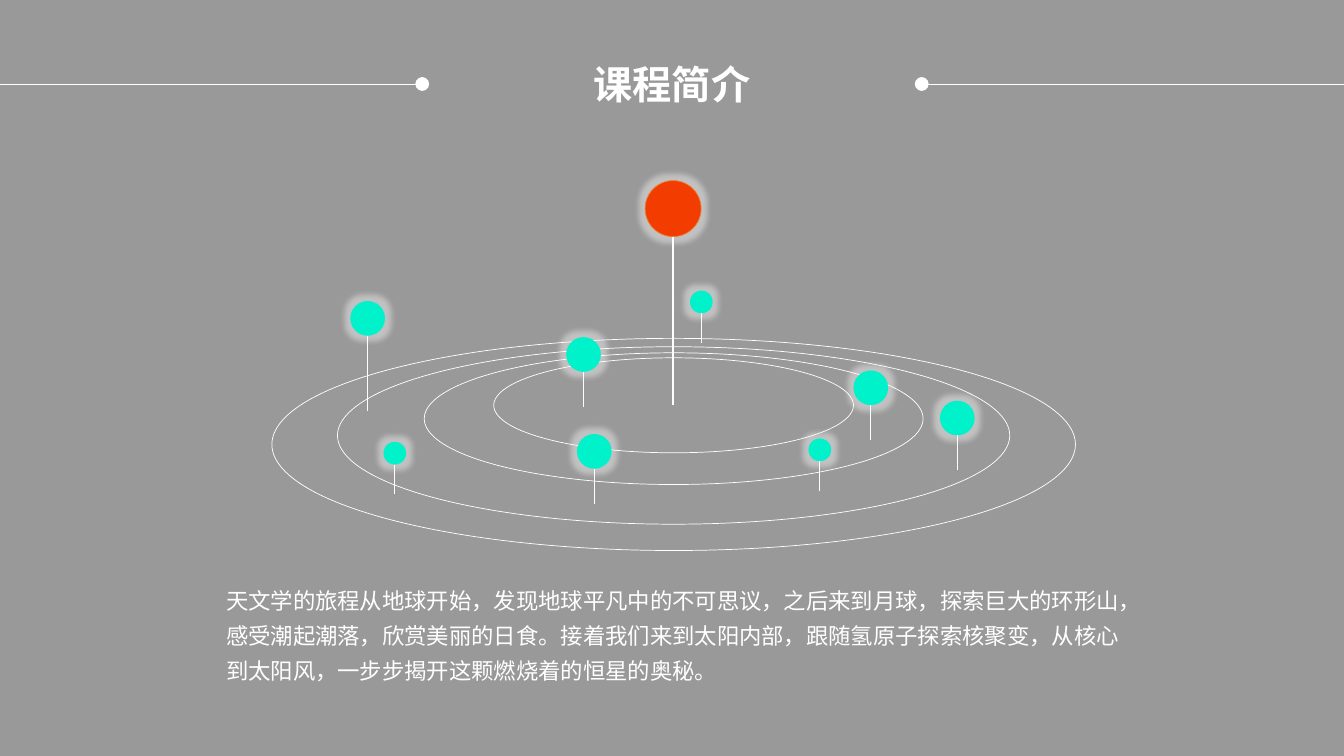
from dataclasses import dataclass

import pptx
import pptx.dml.color
import pptx.enum.shapes
import pptx.enum.text
import pptx.oxml
import pptx.oxml.ns
import pptx.util
from lxml import etree

Pt = pptx.util.Pt
PAGE_WIDTH, PAGE_HEIGHT = 960, 540


@dataclass(frozen=True)
class Theme:
    background: str = "999999"
    white: str = "FFFFFF"
    sun: str = "F23C00"
    sun_edge: str = "ED7D31"
    planet: str = "00F2CA"
    font: str = "Calibri"
    title_size: int = 28
    body_size: int = 16
    thin: float = 0.5
    stem: float = 1
    glow_radius: float = 8
    glow_alpha: int = 40


def rgb(value):
    return pptx.dml.color.RGBColor.from_string(value)


def add_child(parent, tag, **attributes):
    return etree.SubElement(parent, pptx.oxml.ns.qn(tag), attributes)


class SlideBuilder:
    def __init__(self, page, theme):
        self.page = page
        self.theme = theme
        fill = page.background.fill
        fill.solid()
        fill.fore_color.rgb = rgb(theme.background)

    def style_text(self, para, size, bold=False):
        font = para.font
        font.name = self.theme.font
        font.size = Pt(size)
        font.bold = bold
        font.color.rgb = rgb(self.theme.white)

    def title(self, text, left, top, width, height):
        box = self.page.shapes.title
        box.left, box.top, box.width, box.height = map(Pt, (left, top, width, height))
        frame = box.text_frame
        frame.text = text
        frame.auto_size = pptx.enum.text.MSO_AUTO_SIZE.NONE
        frame.vertical_anchor = pptx.enum.text.MSO_ANCHOR.MIDDLE
        para = frame.paragraphs[0]
        para.alignment = pptx.enum.text.PP_ALIGN.CENTER
        self.style_text(para, self.theme.title_size, bold=True)

    def paragraph(self, text, left, top, width, height):
        box = self.page.shapes.add_textbox(*map(Pt, (left, top, width, height)))
        frame = box.text_frame
        frame.word_wrap = True
        frame.auto_size = pptx.enum.text.MSO_AUTO_SIZE.SHAPE_TO_FIT_TEXT
        frame.margin_left = frame.margin_right = Pt(5)
        frame.margin_top = frame.margin_bottom = Pt(2.5)
        frame.text = text
        para = frame.paragraphs[0]
        para.line_spacing = 1.3
        self.style_text(para, self.theme.body_size)

    def line(self, start, end, weight, dot=False):
        """Draw a white line, with a round dot at its end if asked."""
        connector = self.page.shapes.add_connector(
            pptx.enum.shapes.MSO_CONNECTOR.STRAIGHT, *map(Pt, (*start, *end)))
        connector.line.color.rgb = rgb(self.theme.white)
        connector.line.width = Pt(weight)
        if dot:
            add_child(connector.line._get_or_add_ln(), "a:tailEnd",
                      type="oval", w="lg", len="lg")
        add_child(connector._element.spPr, "a:effectLst")

    def ellipse(self, shapes, center_x, top, width, height, fill=None, edge=None):
        oval = shapes.add_shape(
            pptx.enum.shapes.MSO_SHAPE.OVAL,
            *map(Pt, (center_x - width / 2, top, width, height)))
        oval.shadow.inherit = False
        if fill:
            oval.fill.solid()
            oval.fill.fore_color.rgb = rgb(fill)
        else:
            oval.fill.background()
        if edge:
            oval.line.color.rgb = rgb(edge)
            oval.line.width = Pt(self.theme.thin)
        else:
            oval.line.fill.background()
        return oval

    def orbits(self, center_x, sizes, flatness):
        group = self.page.shapes.add_group_shape()
        for top, width in sizes:
            self.ellipse(group.shapes, center_x, top, width, width * flatness,
                         edge=self.theme.white)

    def glow(self, shape):
        effects = shape._element.spPr.find(pptx.oxml.ns.qn("a:effectLst"))
        halo = add_child(effects, "a:glow", rad=str(Pt(self.theme.glow_radius)))
        color = add_child(halo, "a:srgbClr", val=self.theme.white)
        add_child(color, "a:alpha", val=str(self.theme.glow_alpha * 1000))

    def body_on_stem(self, center_x, top, diameter, stem, fill, edge=None):
        """Draw a glowing disc with a line hanging from it."""
        disc = self.ellipse(self.page.shapes, center_x, top, diameter, diameter,
                            fill, edge)
        self.glow(disc)
        bottom = top + diameter
        self.line((center_x, bottom), (center_x, bottom + stem), self.theme.stem)


def main():
    deck = pptx.Presentation()
    deck.slide_width, deck.slide_height = Pt(PAGE_WIDTH), Pt(PAGE_HEIGHT)
    theme = Theme()
    builder = SlideBuilder(deck.slides.add_slide(deck.slide_layouts[5]), theme)

    rule_y, rule_length = 60, 301.6
    for edge_x, dot_x in ((0, rule_length), (PAGE_WIDTH, PAGE_WIDTH - rule_length)):
        builder.line((edge_x, rule_y), (dot_x, rule_y), theme.thin, dot=True)
    builder.title("课程简介", 353.5, 37.5, 253, 44.5)

    builder.orbits(481.2, ((255.6, 257), (252, 356.4), (247.7, 480.2), (241.7, 574)),
                   flatness=0.264)
    builder.body_on_stem(480.8, 129, 40, 120.4, theme.sun, theme.sun_edge)

    large, small = 24.8, 16.2
    planets = (
        (262.6, 215, large, 54),
        (683.8, 286.2, large, 25),
        (424.5, 310, large, 25),
        (622, 264.6, large, 25),
        (416.8, 240.8, large, 25),
        (585.6, 313.2, small, 21),
        (501, 207.6, small, 21),
        (282, 315.6, small, 21),
    )
    for center_x, top, diameter, stem in planets:
        builder.body_on_stem(center_x, top, diameter, stem, theme.planet)

    builder.paragraph(
        "天文学的旅程从地球开始，发现地球平凡中的不可思议，之后来到月球，探索巨大的环形山，"
        "感受潮起潮落，欣赏美丽的日食。接着我们来到太阳内部，跟随氢原子探索核聚变，"
        "从核心到太阳风，一步步揭开这颗燃烧着的恒星的奥秘。",
        156.5, 411, 649.5, 81.5)
    deck.save("out.pptx")


if __name__ == "__main__":
    main()
